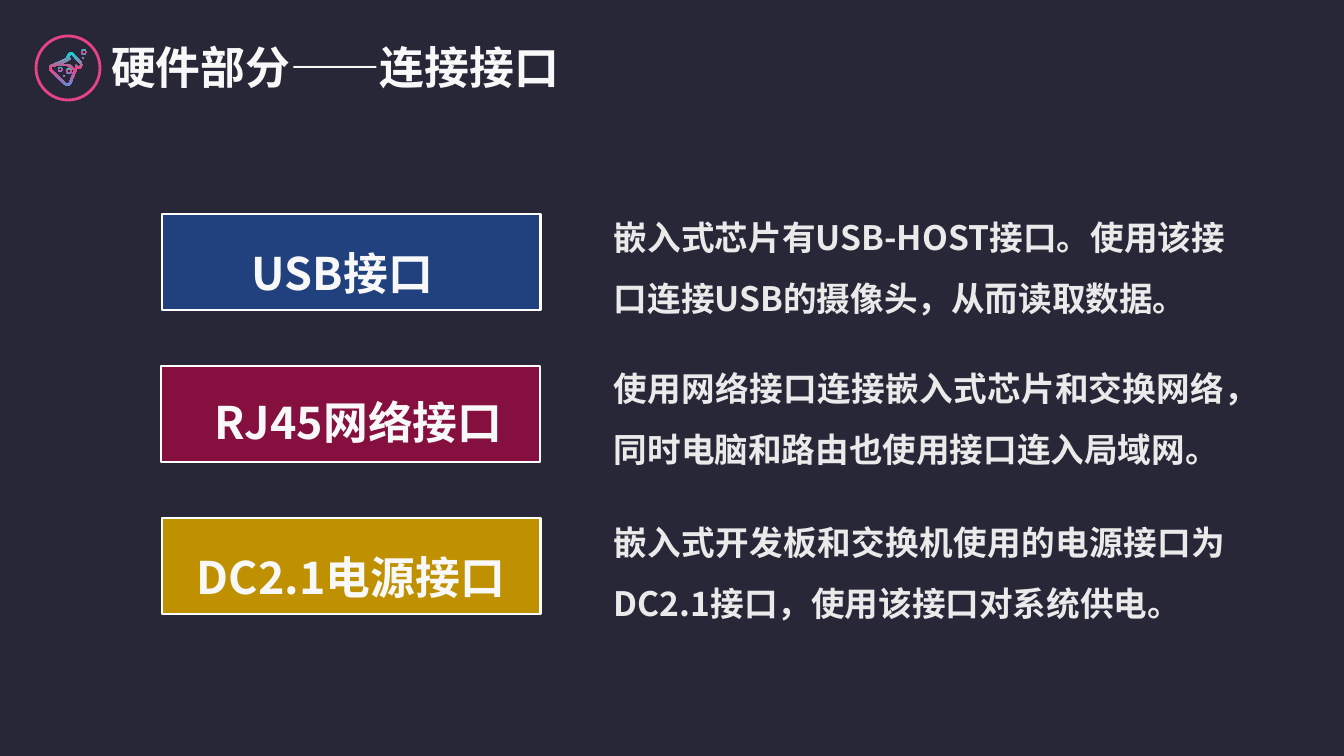
"""Build the slide that presents the connection interfaces of the hardware."""
import copy

import pptx
import pptx.dml.color
import pptx.enum.shapes
import pptx.enum.text
import pptx.oxml
import pptx.oxml.ns
import pptx.util

PX = 12192000 / 1344
FONT = "Noto Sans CJK SC"
SHAPES = pptx.enum.shapes.MSO_SHAPE
ALIGN = pptx.enum.text.PP_ALIGN
COLORS = {
    "background": "282737", "heading": "F8F8F8", "body": "EAEAEA", "border": "FFFFFF",
    "usb": "20417D", "network": "85103F", "power": "BF9000",
    "ring": "E84385", "cyan": "03DFDF", "blue": "638CD7",
}
GRADIENT = [(0, "cyan"), (0.49, "ring"), (1, "blue")]
FLASK = [
    [(73, 53), (71, 52), (69, 53), (67, 56), (67, 58), (51, 65), (49, 67), (50, 71),
     (65, 85), (68, 86), (71, 84), (77, 69), (79, 69), (82, 67), (83, 65), (82, 62)],
    [(81, 65), (79, 67), (76, 65), (75, 69), (70, 65), (62, 64), (71, 59), (69, 57),
     (69, 56), (71, 55), (72, 55)],
    [(69, 83), (67, 84), (51, 69), (52, 67), (59, 65), (67, 66), (74, 70)],
]
BUBBLES = [(66, 68, 6), (81, 49, 6), (58, 67, 5)]
DROPS = [(63, 75, 2), (82, 57, 2)]
INTERFACES = [
    ("usb", 162, "USB接口", (242, 214, 222, 82), 192,
     "嵌入式芯片有USB-HOST接口。使用该接口连接USB的摄像头，从而读取数据。"),
    ("network", 161, "RJ45网络接口", (205, 363, 366, 92), 343,
     "使用网络接口连接嵌入式芯片和交换网络，同时电脑和路由也使用接口连入局域网。"),
    ("power", 162, "DC2.1电源接口", (187, 518, 354, 92), 497,
     "嵌入式开发板和交换机使用的电源接口为DC2.1接口，使用该接口对系统供电。"),
]


def px(*lengths):
    """Turn pixel lengths into EMU."""
    return [pptx.util.Emu(round(length * PX)) for length in lengths]


def rgb(name):
    """Look up a named colour."""
    return pptx.dml.color.RGBColor.from_string(COLORS[name])


def write(frame, text, size, color, alignment, spacing):
    """Write one bold paragraph into a text frame."""
    frame.word_wrap = True
    frame.auto_size = pptx.enum.text.MSO_AUTO_SIZE.SHAPE_TO_FIT_TEXT
    frame.text = text
    paragraph = frame.paragraphs[0]
    paragraph.alignment = alignment
    paragraph.line_spacing = spacing
    paragraph.font.name = FONT
    paragraph.font.size = pptx.util.Pt(size)
    paragraph.font.bold = True
    paragraph.font.color.rgb = rgb(color)
    properties = paragraph._p.pPr.find(pptx.oxml.ns.qn("a:defRPr"))
    east_asian = pptx.oxml.parse_xml(
        f'<a:ea {pptx.oxml.ns.nsdecls("a")} typeface="{FONT}"/>')
    properties.append(east_asian)


def add_text(slide, box, text, size, color):
    """Add a justified text box."""
    shape = slide.shapes.add_textbox(*px(*box))
    write(shape.text_frame, text, size, color, ALIGN.JUSTIFY, 1.5)


def add_outlined(slide, kind, box, line, fill=None):
    """Add a preset shape with a two-point outline."""
    shape = slide.shapes.add_shape(kind, *px(*box))
    shape.shadow.inherit = False
    shape.line.color.rgb = rgb(line)
    shape.line.width = pptx.util.Pt(2)
    if fill:
        shape.fill.solid()
        shape.fill.fore_color.rgb = rgb(fill)
    else:
        shape.fill.background()


def paint_gradient(shape):
    """Fill a shape with the vertical icon gradient and no outline."""
    shape.shadow.inherit = False
    shape.line.fill.background()
    shape.fill.gradient()
    shape.fill.gradient_angle = 270
    stops = shape._element.spPr.find(".//" + pptx.oxml.ns.qn("a:gsLst"))
    stops.insert(1, copy.deepcopy(stops[0]))
    for stop, (position, color) in zip(shape.fill.gradient_stops, GRADIENT):
        stop.position = position
        stop.color.rgb = rgb(color)


def add_flask_icon(slide):
    """Draw the ringed flask with its bubbles."""
    add_outlined(slide, SHAPES.OVAL, (36, 36, 64, 64), "ring")
    builder = slide.shapes.build_freeform(*FLASK[0][0], scale=PX)
    builder.add_line_segments(FLASK[0][1:])
    for contour in FLASK[1:]:
        builder.move_to(*contour[0])
        builder.add_line_segments(contour[1:])
    paint_gradient(builder.convert_to_shape())
    for kind, circles in ((SHAPES.DONUT, BUBBLES), (SHAPES.OVAL, DROPS)):
        for left, top, size in circles:
            shape = slide.shapes.add_shape(kind, *px(left, top, size, size))
            if kind == SHAPES.DONUT:
                shape.adjustments[0] = 0.18
            paint_gradient(shape)


def add_title(slide, text):
    """Place and format the slide title."""
    title = slide.shapes.title
    title.left, title.top, title.width, title.height = px(101, 35, 703, 65)
    title.text_frame.vertical_anchor = pptx.enum.text.MSO_ANCHOR.TOP
    write(title.text_frame, text, 32, "heading", ALIGN.LEFT, 1)


def main():
    """Build and save the slide."""
    presentation = pptx.Presentation()
    presentation.slide_width, presentation.slide_height = px(1344, 756)
    slide = presentation.slides.add_slide(presentation.slide_layouts[5])
    slide.background.fill.solid()
    slide.background.fill.fore_color.rgb = rgb("background")
    add_flask_icon(slide)
    add_title(slide, "硬件部分——连接接口")
    for row, (color, left, label, label_box, top, details) in enumerate(INTERFACES):
        box = (left, 214 + 152 * row, 379, 96)
        add_outlined(slide, SHAPES.RECTANGLE, box, "border", color)
        add_text(slide, label_box, label, 32, "heading")
        add_text(slide, (604, top, 631, 132), details, 24, "body")
    presentation.save("out.pptx")


if __name__ == "__main__":
    main()
